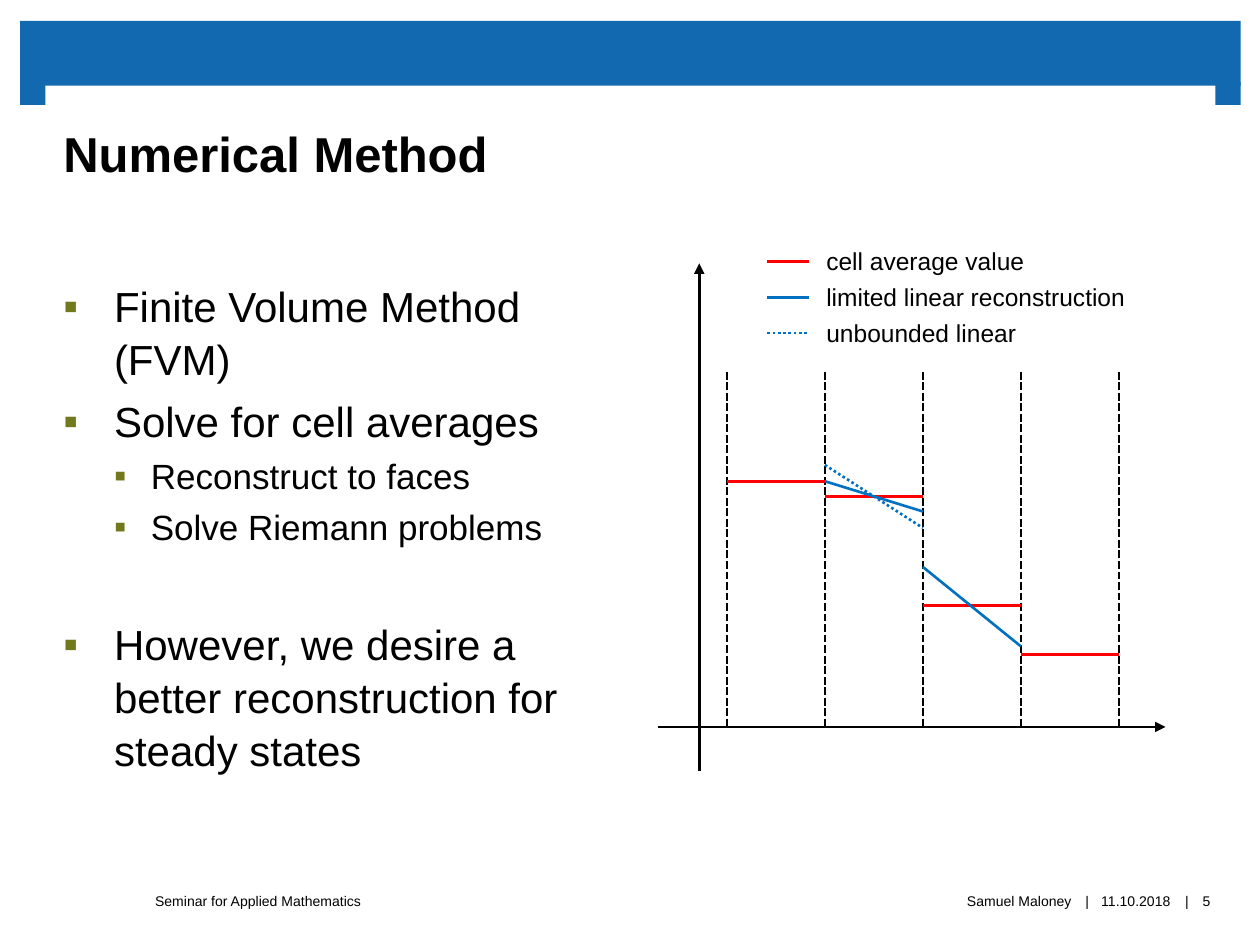
from lxml.etree import SubElement as Sub
from pptx import Presentation as Deck
from pptx.dml.color import RGBColor as Color
from pptx.enum.dml import MSO_LINE as Dash
from pptx.enum.shapes import MSO_CONNECTOR as Link, MSO_SHAPE as Kind
from pptx.enum.text import MSO_ANCHOR as Anchor, PP_ALIGN as Align
from pptx.oxml.ns import qn
from pptx.util import Pt

BLUE, RED, SKY, OLIVE = "1269B0", "FF0000", "0070C0", "72791C"
BLACK, WHITE = "000000", "FFFFFF"


def tint(hue):
    """Turn a hex string into a colour."""
    return Color.from_string(hue)


def block(slide, x, y, w, h, hue):
    """Draw a plain filled bar."""
    bar = slide.shapes.add_shape(Kind.RECTANGLE, Pt(x), Pt(y), Pt(w), Pt(h))
    bar.shadow.inherit = False
    bar.fill.solid()
    bar.fill.fore_color.rgb = tint(hue)
    bar.line.fill.background()


def line(slide, x1, y1, x2, y2, hue, dash=None, arrow=False):
    """Draw a straight line, dashed or with an arrow if asked."""
    rule = slide.shapes.add_connector(Link.STRAIGHT, Pt(x1), Pt(y1), Pt(x2), Pt(y2))
    rule.line.color.rgb = tint(hue)
    rule.line.width = Pt(1.5)
    if dash:
        rule.line.dash_style = dash
    if arrow:
        Sub(rule.line._get_or_add_ln(), qn("a:tailEnd"), type="triangle")
    Sub(rule._element.spPr, qn("a:effectLst"))


def frame(slide, x, y, w, h, pad=(0, 0, 0, 0), wrap=True, anchor=Anchor.TOP):
    """Add an empty text box and return its text frame."""
    box = slide.shapes.add_textbox(Pt(x), Pt(y), Pt(w), Pt(h)).text_frame
    box.margin_left, box.margin_top, box.margin_right, box.margin_bottom = map(Pt, pad)
    box.word_wrap = wrap
    box.vertical_anchor = anchor
    return box


def write(para, text, size=8, bold=False, align=Align.LEFT):
    """Put formatted text in a paragraph."""
    para.alignment = align
    run = para.add_run()
    run.text = text
    run.font.name = "Arial"
    run.font.size = Pt(size)
    run.font.bold = bold
    run.font.color.rgb = tint(BLACK)


def point(para, text, level, gap):
    """Write a point with a square bullet and hanging indent."""
    left, hang, size = ((29, 29, 24), (50, 21, 20))[level]
    props = para._p.get_or_add_pPr()
    props.set("marL", str(Pt(left)))
    props.set("indent", str(-Pt(hang)))
    para.level = level
    para.line_spacing = 1.05
    para.space_before = Pt(gap)
    Sub(Sub(props, qn("a:buClr")), qn("a:srgbClr"), val=OLIVE)
    Sub(props, qn("a:buFont"), typeface="Arial")
    Sub(props, qn("a:buChar"), char="▪")
    write(para, text, size)


def banner(slide):
    """Draw the blue band, its two feet and the title."""
    block(slide, 11.5, 12, 697.5, 37, BLUE)
    for x in (11.5, 694.5):
        block(slide, x, 47, 14.5, 13, BLUE)
    head = frame(slide, 25.2, 49, 668.9, 76.3, (11, 0, 11.5, 0), anchor=Anchor.MIDDLE)
    write(head.paragraphs[0], "Numerical Method", 28, True)


def body(slide):
    """Write the list of points."""
    box = frame(slide, 25.2, 159.1, 343.4, 331.2, (11, 0, 11.5, 0))
    points = (
        ("Finite Volume Method (FVM)", 0, 0),
        ("Solve for cell averages", 0, 5),
        ("Reconstruct to faces", 1, 4),
        ("Solve Riemann problems", 1, 4),
        ("However, we desire a better reconstruction for steady states", 0, 39),
    )
    for num, item in enumerate(points):
        point(box.add_paragraph() if num else box.paragraphs[0], *item)


def graph(slide):
    """Draw the axes, cell faces, averages and slopes."""
    left, step, base = 415.4, 56, 415.4
    line(slide, 399.6, 440.6, 399.6, 150.5, BLACK, arrow=True)
    line(slide, 375.8, base, 666, base, BLACK, arrow=True)
    edges = [left + step * num for num in range(5)]
    for x in edges:
        line(slide, x, 212.4, x, base, BLACK, Dash.SQUARE_DOT)
    for x, y in zip(edges, (275, 283.7, 346, 374)):
        line(slide, x, y, x + step, y, RED)
    slopes = (
        (1, 275, 292.3, None),
        (1, 265.7, 301.7, Dash.ROUND_DOT),
        (2, 324, 369.4, None),
    )
    for cell, start, end, dash in slopes:
        line(slide, edges[cell], start, edges[cell] + step, end, SKY, dash)


def legend(slide):
    """Draw the key to the graph."""
    rows = (
        ("cell average value", 128, RED, None),
        ("limited linear reconstruction", 186, SKY, None),
        ("unbounded linear", 123, SKY, Dash.ROUND_DOT),
    )
    for num, (text, w, hue, dash) in enumerate(rows):
        y = 149.6 + 20.4 * num
        line(slide, 438.5, y, 462.2, y, hue, dash)
        box = frame(slide, 465.1, y - 12.4, w, 24.2, (7.2, 3.6, 7.2, 3.6), False)
        write(box.paragraphs[0], text, 14)


def footer(slide):
    """Write the line of small text at the foot."""
    parts = (
        ("Seminar for Applied Mathematics", 88.6, 280.8, Align.LEFT),
        ("Samuel Maloney", 368.6, 243.8, Align.RIGHT),
        ("|", 617, 8.6, Align.CENTER),
        ("11.10.2018", 625, 48.2, Align.CENTER),
        ("|", 673.9, 8.6, Align.CENTER),
        ("5", 679, 20.9, Align.CENTER),
    )
    for text, x, w, align in parts:
        box = frame(slide, x, 496.6, w, 36.5, anchor=Anchor.MIDDLE)
        write(box.paragraphs[0], text, align=align)


def main():
    """Build the slide and save it."""
    deck = Deck()
    deck.slide_width, deck.slide_height = Pt(720), Pt(540)
    slide = deck.slides.add_slide(deck.slide_layouts[6])
    slide.background.fill.solid()
    slide.background.fill.fore_color.rgb = tint(WHITE)
    for part in (banner, body, graph, legend, footer):
        part(slide)
    deck.save("out.pptx")


if __name__ == "__main__":
    main()
